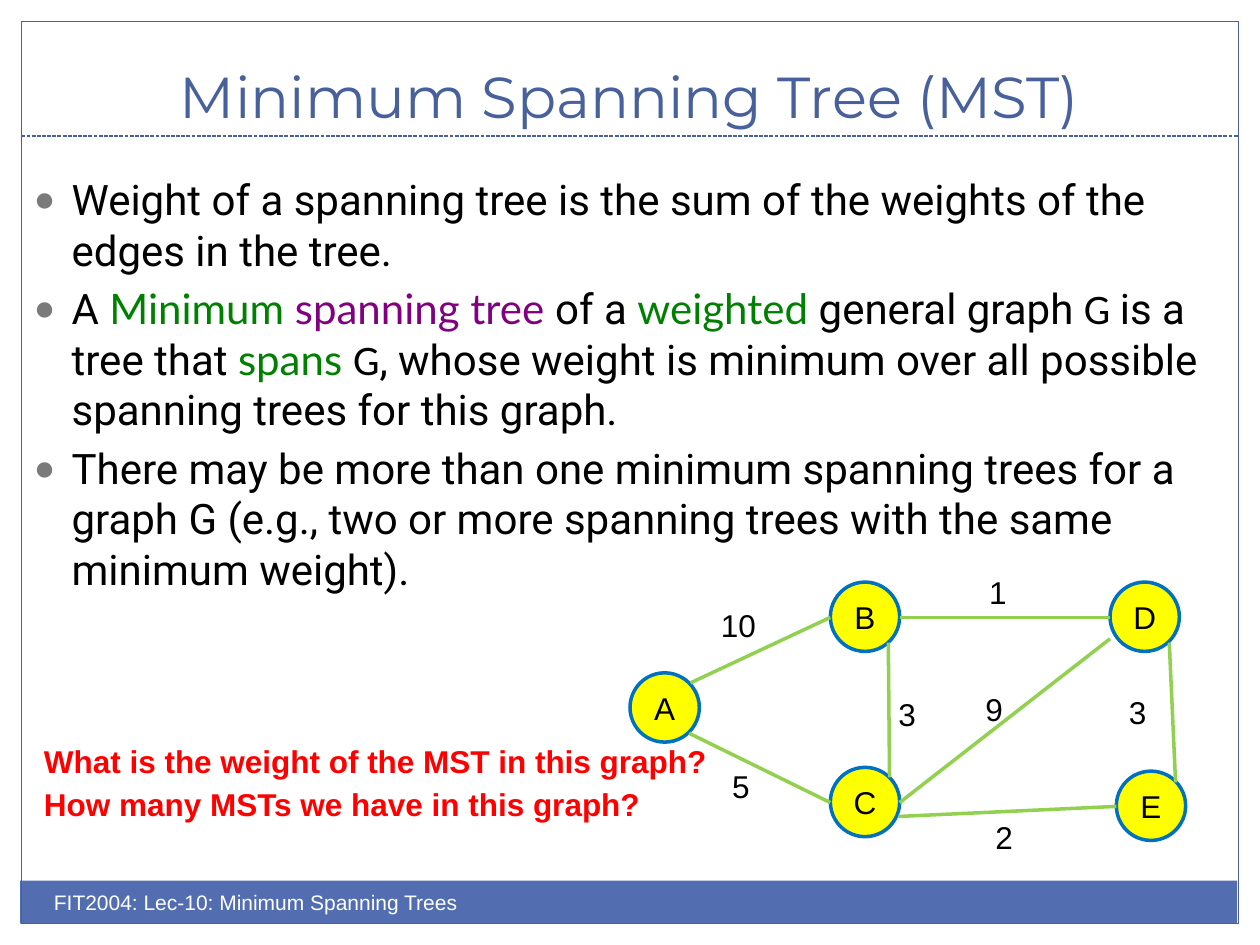
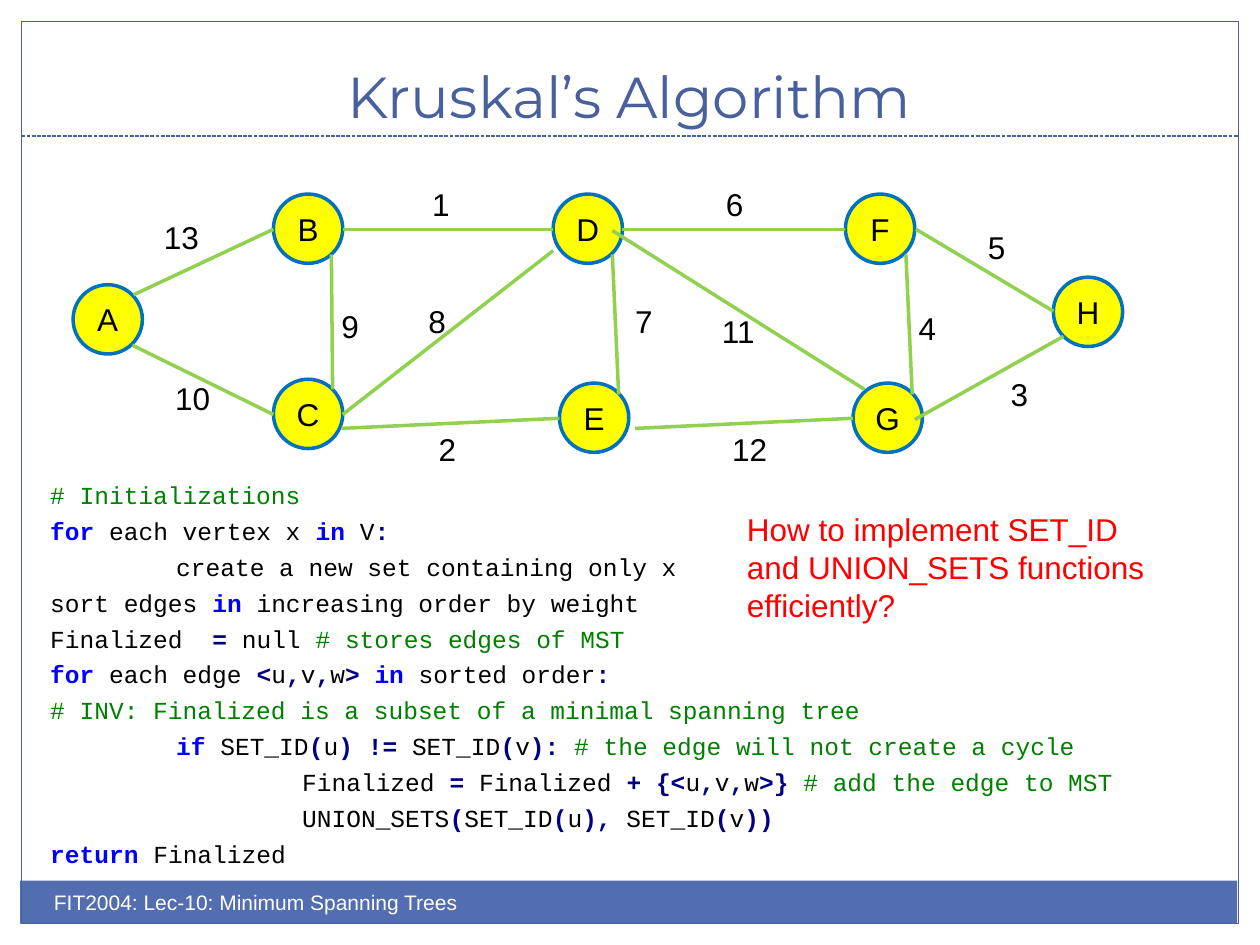
from itertools import groupby

from lxml import etree
from pptx import Presentation
from pptx.dml.color import RGBColor
from pptx.enum.dml import MSO_LINE
from pptx.enum.shapes import MSO_CONNECTOR, MSO_SHAPE
from pptx.enum.text import MSO_ANCHOR, PP_ALIGN
from pptx.oxml.ns import qn
from pptx.util import Inches, Pt

RECTANGLE, OVAL = MSO_SHAPE.RECTANGLE, MSO_SHAPE.OVAL
STRAIGHT, DASH = MSO_CONNECTOR.STRAIGHT, MSO_LINE.SQUARE_DOT
LEFT, CENTER = PP_ALIGN.LEFT, PP_ALIGN.CENTER
TOP, MIDDLE, BOTTOM = MSO_ANCHOR.TOP, MSO_ANCHOR.MIDDLE, MSO_ANCHOR.BOTTOM
TITLE_ONLY = 5

# Colours
BLUE, BAND, WHITE, BLACK = "48609B", "526DB0", "FFFFFF", "000000"
NODE_FILL, NODE_LINE, EDGE = "FFFF00", "0070C0", "92D050"
RED, GREEN, PURPLE = "FF0000", "008000", "800080"
KEYWORD, OPERATOR, BULLET = "0000FF", "000080", "7A7A7A"

# Text styles
TITLE = {"name": "Montserrat", "size": Pt(33), "color": BLUE}
FOOTER = {"name": "Arial", "size": Pt(12), "color": WHITE}
LABEL = {"name": "Arial", "size": Pt(18), "color": BLACK}
QUESTION = {**LABEL, "color": RED}
BODY = {"name": "Roboto", "size": Pt(24), "color": BLACK}
TERM = {**BODY, "name": "Lato", "color": GREEN}
TREE_TERM = {**TERM, "color": PURPLE}
SYMBOL = {**BODY, "name": "Calibri"}
CODE = {"name": "Courier New", "size": Pt(14), "color": BLACK}
CODE_COMMENT = {**CODE, "color": GREEN}
CODE_KEYWORD = {**CODE, "color": KEYWORD, "bold": True}
CODE_OPERATOR = {**CODE, "color": OPERATOR, "bold": True}

FOOTER_TEXT = "FIT2004: Lec-10: Minimum Spanning Trees"
NODE_SIZE = 0.55

# Graph of A to E, used on both slides: top left corner of each node
CORE_NODES = {"A": (0.58, 2.26), "B": (2.17, 1.54), "C": (2.17, 3.01),
              "D": (4.39, 1.54), "E": (4.44, 3.04)}
EXTRA_NODES = {"F": (6.71, 1.54), "G": (6.77, 3.04), "H": (8.36, 2.2)}

# Edge: start, end, centre of its weight
CORE_EDGES = {
    "AB": ((1.06, 2.34), (2.17, 1.82), (1.44, 1.88)),
    "AC": ((1.05, 2.74), (2.17, 3.29), (1.53, 3.16)),
    "BC": ((2.63, 2.02), (2.64, 3.09), (2.78, 2.59)),
    "BD": ((2.72, 1.82), (4.39, 1.82), (3.5, 1.62)),
    "CD": ((2.72, 3.29), (4.39, 1.99), (3.47, 2.55)),
    "CE": ((2.71, 3.4), (4.44, 3.32), (3.55, 3.56)),
    "DE": ((4.86, 2.02), (4.91, 3.13), (5.11, 2.55)),
}
EXTRA_EDGES = {
    "DF": ((4.94, 1.82), (6.71, 1.82), (5.83, 1.62)),
    "DG": ((4.86, 1.83), (6.86, 3.09), (5.86, 2.63)),
    "EG": ((5.04, 3.4), (6.77, 3.32), (5.95, 3.56)),
    "FG": ((7.19, 2.02), (7.24, 3.13), (7.36, 2.6)),
    "FH": ((7.27, 1.82), (8.36, 2.47), (7.91, 1.96)),
    "GH": ((7.26, 3.33), (8.44, 2.67), (8.09, 3.13)),
}
MST_WEIGHTS = {"AB": 10, "AC": 5, "BC": 3, "BD": 1, "CD": 9, "CE": 2, "DE": 3}
MST_LABELS = {"AC": (1.46, 3.16), "DE": (4.61, 2.57)}
KRUSKAL_WEIGHTS = {"AB": 13, "AC": 10, "BC": 9, "BD": 1, "CD": 8, "CE": 2, "DE": 7,
                   "DF": 6, "DG": 11, "EG": 12, "FG": 4, "FH": 5, "GH": 3}

DEFINITIONS = [
    [("Weight of a spanning tree is the sum of the weights of the edges in the tree.", BODY)],
    [("A ", BODY), ("Minimum ", TERM), ("spanning tree ", TREE_TERM), ("of a ", BODY),
     ("weighted ", TERM), ("general graph ", BODY), ("G ", SYMBOL),
     ("is a tree that ", BODY), ("spans ", TERM), ("G", SYMBOL),
     (", whose weight is minimum over all possible spanning trees for this graph.", BODY)],
    [("There may be more than one minimum spanning trees for a graph G (e.g., two or more "
      "spanning trees with the same minimum weight).", BODY)],
]

# Pseudocode: indent level, line
KRUSKAL = [
    (0, "# Initializations"),
    (0, "for each vertex x in V:"),
    (1, "create a new set containing only x"),
    (0, "sort edges in increasing order by weight"),
    (0, "Finalized  = null # stores edges of MST"),
    (0, "for each edge <u,v,w> in sorted order:"),
    (0, "# INV: Finalized is a subset of a minimal spanning tree"),
    (1, "if SET_ID(u) != SET_ID(v): # the edge will not create a cycle"),
    (2, "Finalized = Finalized + {<u,v,w>} # add the edge to MST"),
    (2, "UNION_SETS(SET_ID(u), SET_ID(v))"),
    (0, "return Finalized"),
]
KEYWORDS = {"for", "in", "if", "return"}
OPERATORS = "<>(){}:,=!+"


def rgb(value):
    return RGBColor.from_string(value)


def write(paragraph, runs):
    for text, style in runs:
        run = paragraph.add_run()
        run.text = text
        for key, value in style.items():
            if key == "color":
                run.font.color.rgb = rgb(value)
            else:
                setattr(run.font, key, value)


def set_frame(frame, **settings):
    frame.word_wrap = True
    for key, value in settings.items():
        setattr(frame, key, value)


def add_text(slide, box, paragraphs, align=LEFT, anchor=TOP, space=0):
    frame = slide.shapes.add_textbox(*map(Inches, box)).text_frame
    set_frame(frame, vertical_anchor=anchor)
    for index, runs in enumerate(paragraphs):
        paragraph = frame.add_paragraph() if index else frame.paragraphs[0]
        paragraph.alignment = align
        paragraph.space_before = Pt(space)
        write(paragraph, runs)
    return frame


def add_shape(slide, kind, box, fill=None, line=None, width=0.75):
    shape = slide.shapes.add_shape(kind, *map(Inches, box))
    shape.shadow.inherit = False
    if fill:
        shape.fill.solid()
        shape.fill.fore_color.rgb = rgb(fill)
    else:
        shape.fill.background()
    if line:
        shape.line.color.rgb = rgb(line)
        shape.line.width = Pt(width)
    else:
        shape.line.fill.background()
    return shape


def add_line(slide, start, end, color, width):
    line = slide.shapes.add_connector(STRAIGHT, *map(Inches, (*start, *end)))
    line.line.color.rgb = rgb(color)
    line.line.width = Pt(width)
    etree.SubElement(line._element.spPr, qn("a:effectLst"))
    return line


def set_indent(paragraph, left, first=0.0):
    properties = paragraph._p.get_or_add_pPr()
    properties.set("marL", str(Inches(left)))
    properties.set("indent", str(Inches(first)))
    return properties


def add_bullet(paragraph):
    properties = set_indent(paragraph, 0.3, -0.3)
    color = etree.SubElement(properties, qn("a:buClr"))
    etree.SubElement(color, qn("a:srgbClr"), val=BULLET)
    etree.SubElement(properties, qn("a:buSzPct"), val="85000")
    etree.SubElement(properties, qn("a:buFont"), typeface="Arial")
    etree.SubElement(properties, qn("a:buChar"), char="●")


def add_slide(deck, heading):
    """Title, border, dashed rule and footer band."""
    slide = deck.slides.add_slide(deck.slide_layouts[TITLE_ONLY])
    add_shape(slide, RECTANGLE, (0.16, 6.99, 9.66, 0.34), fill=BAND)
    add_shape(slide, RECTANGLE, (0.17, 0.17, 9.66, 7.16), line=BLUE)
    add_line(slide, (0.17, 1.08), (9.83, 1.08), BLUE, 0.75).line.dash_style = DASH
    title = slide.shapes.title
    title.left, title.top, title.width, title.height = map(Inches, (0.33, 0.25, 9.33, 0.83))
    set_frame(title.text_frame, vertical_anchor=BOTTOM)
    title.text_frame.paragraphs[0].alignment = CENTER
    write(title.text_frame.paragraphs[0], [(heading, TITLE)])
    add_text(slide, (0.33, 7.01, 5, 0.4), [[(FOOTER_TEXT, FOOTER)]])
    return slide


def add_graph(slide, nodes, edges, weights, offset=(0, 0), moved_labels=None):
    def place(point):
        return point[0] + offset[0], point[1] + offset[1]

    for letter, corner in nodes.items():
        node = add_shape(slide, OVAL, (*place(corner), NODE_SIZE, NODE_SIZE),
                         NODE_FILL, NODE_LINE, 2)
        set_frame(node.text_frame, vertical_anchor=MIDDLE, margin_left=0, margin_right=0,
                  margin_top=0, margin_bottom=0)
        node.text_frame.paragraphs[0].alignment = CENTER
        write(node.text_frame.paragraphs[0], [(letter, LABEL)])
    for name, (start, end, label) in edges.items():
        add_line(slide, place(start), place(end), EDGE, 2)
        x, y = place((moved_labels or {}).get(name, label))
        add_text(slide, (x - 0.25, y - 0.2, 0.5, 0.4), [[(str(weights[name]), LABEL)]],
                 CENTER, MIDDLE)


def token_kind(char):
    return "operator" if char in OPERATORS else "space" if char == " " else "word"


def highlight(line):
    """Split a line of pseudocode into styled runs."""
    code, mark, comment = line.partition("#")
    runs = []
    for kind, chars in groupby(code, token_kind):
        token = "".join(chars)
        style = CODE_OPERATOR if kind == "operator" else CODE
        runs.append((token, CODE_KEYWORD if token in KEYWORDS else style))
    if mark:
        runs.append((mark + comment, CODE_COMMENT))
    return runs


def build_mst_slide(deck):
    slide = add_slide(deck, "Minimum Spanning Tree (MST)")
    body = add_text(slide, (0.17, 1.33, 9.58, 4.01), DEFINITIONS, space=4.8)
    for paragraph in body.paragraphs:
        add_bullet(paragraph)
    questions = ["What is the weight of the MST in this graph?",
                 "How many MSTs we have in this graph?"]
    for index, question in enumerate(questions):
        add_text(slide, (0.25, 5.84 + 0.34 * index, 6.61, 0.4),
                 [[(question, {**QUESTION, "bold": True})]])
    add_graph(slide, CORE_NODES, CORE_EDGES, MST_WEIGHTS, (4.42, 3.08), MST_LABELS)


def build_kruskal_slide(deck):
    slide = add_slide(deck, "Kruskal’s Algorithm")
    add_graph(slide, {**CORE_NODES, **EXTRA_NODES}, {**CORE_EDGES, **EXTRA_EDGES},
              KRUSKAL_WEIGHTS)
    code = add_text(slide, (0.3, 3.76, 9.19, 3.1),
                    [highlight(line) for _, line in KRUSKAL], space=3.7)
    for paragraph, (level, _) in zip(code.paragraphs, KRUSKAL):
        set_indent(paragraph, level)
    add_text(slide, (5.83, 4, 3.6, 1.01),
             [[("How to implement SET_ID and UNION_SETS functions efficiently?", QUESTION)]])


def main():
    deck = Presentation()
    deck.slide_width, deck.slide_height = Inches(10), Inches(7.5)
    build_mst_slide(deck)
    build_kruskal_slide(deck)
    deck.save("out.pptx")


if __name__ == "__main__":
    main()
